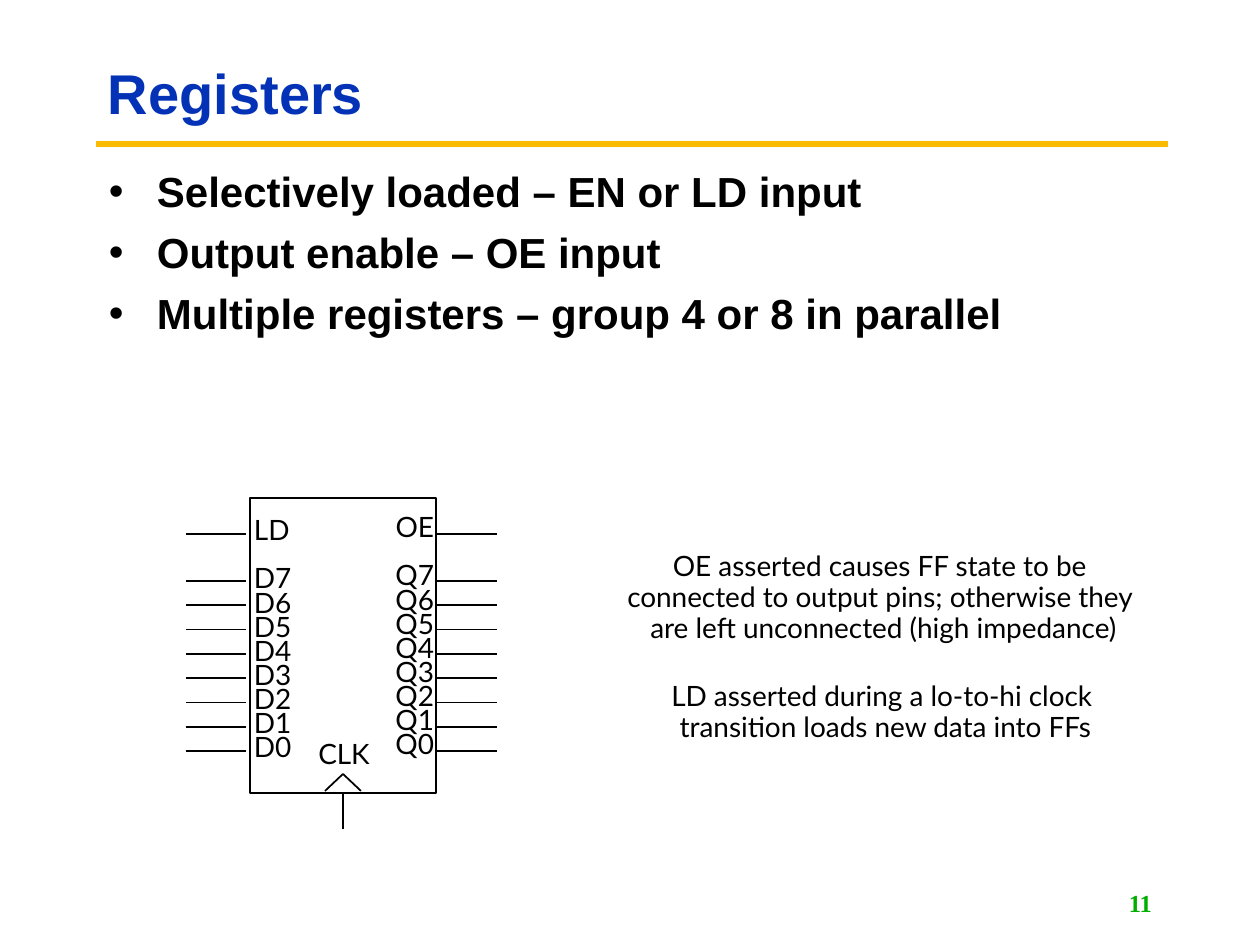
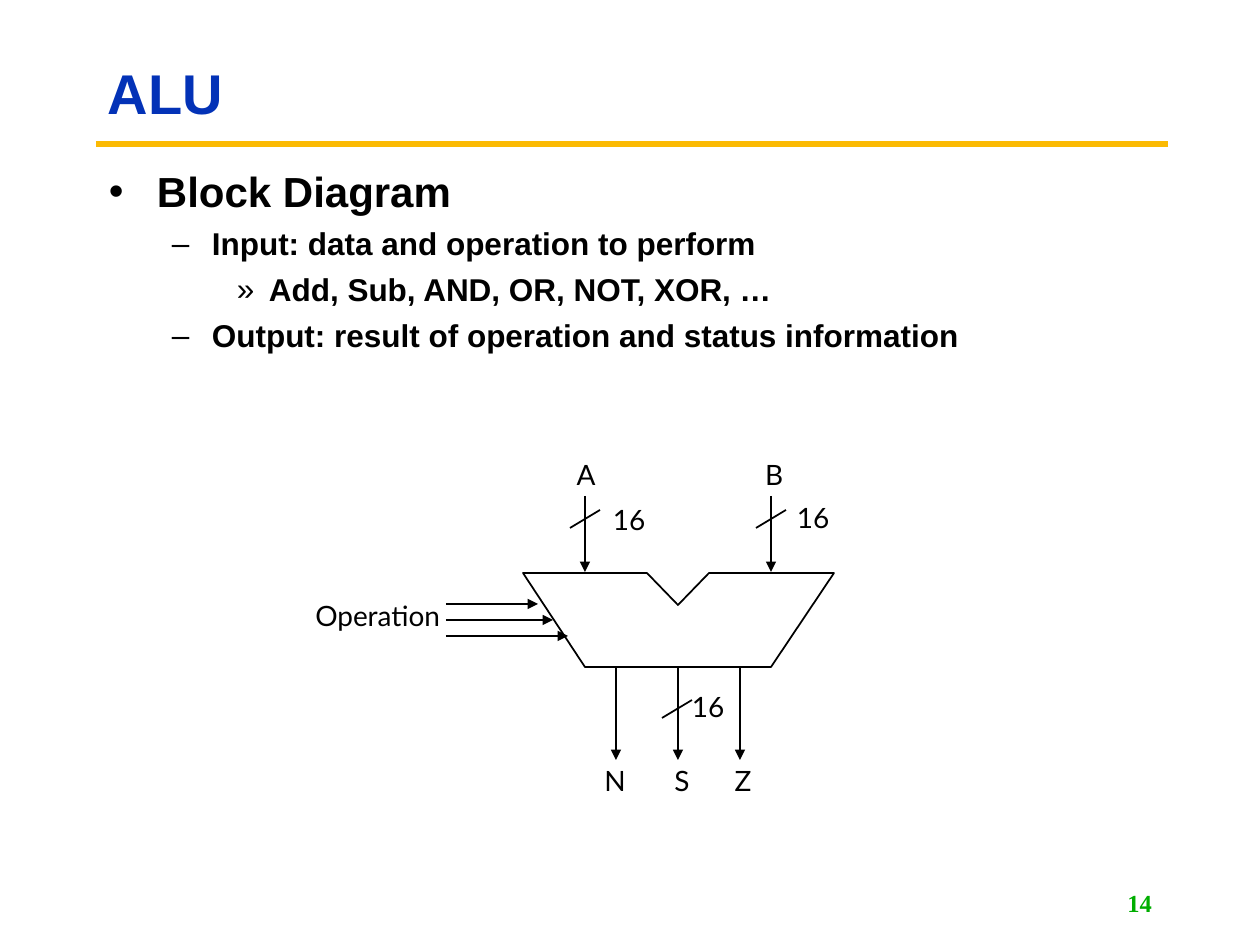
import dataclasses

import pptx
import pptx.dml.color
import pptx.enum.shapes
import pptx.enum.text
import pptx.oxml.ns
import pptx.util
from lxml import etree

PX = 914400 / 126  # EMU in one px
ALIGN = pptx.enum.text.PP_ALIGN
ANCHOR = pptx.enum.text.MSO_ANCHOR
Pt = pptx.util.Pt


@dataclasses.dataclass(frozen=True)
class Theme:
    ink: str = "000000"
    title: str = "0332B7"
    rule: str = "FBBA03"
    number: str = "00AE00"
    heading_font: str = "Arial"
    label_font: str = "Lato"
    number_font: str = "Times New Roman"
    title_size: int = 32
    label_size: int = 16
    number_size: int = 14
    line_width: float = 1
    rule_width: float = 3.75
    label_pitch: float = 17.7
    pin_pitch: float = 13.8


T = Theme()

# Outline levels: size, space before (pt), bullet, left margin and hang (px)
LEVELS = [(24, 9, "•", 48, 48), (18, 6.8, "–", 103, 40), (18, 6.8, "»", 160, 32)]

TITLE = {"size": Pt(T.title_size), "name": T.heading_font, "bold": True}
LABEL = {"size": Pt(T.label_size), "name": T.label_font}
NUMBER = {"size": Pt(T.number_size), "name": T.number_font, "bold": True}


def emu(px):
    return round(px * PX)


def rgb(color):
    return pptx.dml.color.RGBColor.from_string(color)


def apply(obj, values):
    for name, value in values.items():
        setattr(obj, name, value)


def add_sub(parent, tag, **attrs):
    return etree.SubElement(parent, pptx.oxml.ns.qn(tag), attrs)


# Text
def add_frame(slide, box, inset=(3, 4), anchor=ANCHOR.TOP):
    tf = slide.shapes.add_textbox(*map(emu, box)).text_frame
    dx, dy = map(emu, inset)
    apply(tf, {"word_wrap": True, "vertical_anchor": anchor,
               "margin_left": dx, "margin_right": dx,
               "margin_top": dy, "margin_bottom": dy})
    return tf


def write(p, text, font, color=T.ink, **layout):
    p.text = text
    apply(p, layout)
    for r in p.runs:
        apply(r.font, font)
        r.font.color.rgb = rgb(color)


def add_label(slide, text, box, align=ALIGN.LEFT):
    p = add_frame(slide, box).paragraphs[0]
    write(p, text, LABEL, alignment=align, line_spacing=Pt(T.label_pitch))


def add_centred_label(slide, text, x, top):
    add_label(slide, text, (x - 40, top, 80, 48), ALIGN.CENTER)


def add_pin_names(slide, names, box, align):
    """The first name is the control pin, set one row apart from the data pins."""
    tf = add_frame(slide, box)
    for i, name in enumerate(names):
        p = tf.paragraphs[0] if i == 0 else tf.add_paragraph()
        write(p, name, LABEL, alignment=align, line_spacing=Pt(T.pin_pitch),
              space_before=Pt(T.pin_pitch if i == 1 else 0))


def add_outline(slide, items):
    tf = add_frame(slide, (96, 165, 1058, 679), (13, 6))
    for i, (level, text) in enumerate(items):
        size, before, bullet, margin, hang = LEVELS[level]
        p = tf.paragraphs[0] if i == 0 else tf.add_paragraph()
        font = {"size": Pt(size), "name": T.heading_font, "bold": True}
        write(p, text, font, level=level, line_spacing=0.9, space_before=Pt(before))
        pPr = p._p.get_or_add_pPr()
        pPr.set("marL", str(emu(margin)))
        pPr.set("indent", str(-emu(hang)))
        add_sub(add_sub(pPr, "a:buClr"), "a:srgbClr", val=T.ink)
        add_sub(pPr, "a:buFont", typeface=T.heading_font)
        add_sub(pPr, "a:buChar", char=bullet)


# Lines and outlines
def add_line(slide, start, end, arrow=False, color=T.ink, width=T.line_width):
    line = slide.shapes.add_connector(
        pptx.enum.shapes.MSO_CONNECTOR.STRAIGHT, *map(emu, (*start, *end)))
    line.line.color.rgb = rgb(color)
    line.line.width = Pt(width)
    if arrow:
        add_sub(line.line._get_or_add_ln(), "a:tailEnd", type="triangle")
    add_sub(line._element.spPr, "a:effectLst")
    return line


def style_block(sp):
    sp.shadow.inherit = False
    sp.fill.background()
    sp.line.color.rgb = rgb(T.ink)
    sp.line.width = Pt(T.line_width)


def add_bus_mark(slide, x, y, label_at):
    add_line(slide, (x - 15, y + 9), (x + 15, y - 9))
    add_label(slide, "16", (*label_at, 76, 48))


# Slide frame: rule, title, outline and number
def add_slide(prs, title, number, outline):
    slide = prs.slides.add_slide(prs.slide_layouts[6])
    add_line(slide, (96, 144), (1168, 144), color=T.rule, width=T.rule_width)
    tf = add_frame(slide, (95, 45, 1005, 102), (13, 6), ANCHOR.MIDDLE)
    write(tf.paragraphs[0], title, TITLE, T.title, line_spacing=0.9)
    add_outline(slide, outline)
    tf = add_frame(slide, (903, 883, 262, 40), (13, 6), ANCHOR.MIDDLE)
    write(tf.paragraphs[0], number, NUMBER, T.number, alignment=ALIGN.RIGHT)
    return slide


def draw_register(slide):
    left, top, width, height = 250, 498, 186, 295
    right, mid, bottom = left + width, left + width // 2, top + height
    chip = slide.shapes.add_shape(pptx.enum.shapes.MSO_SHAPE.RECTANGLE,
                                  *map(emu, (left, top, width, height)))
    style_block(chip)

    # Pins
    bits = range(7, -1, -1)
    add_pin_names(slide, ["OE"] + [f"Q{b}" for b in bits],
                  (right - 75, 515, 76, 262), ALIGN.RIGHT)
    add_pin_names(slide, ["LD"] + [f"D{b}" for b in bits],
                  (left + 1, 518, 64, 260), ALIGN.LEFT)
    for y in [534] + [581 + i * 170 / 7 for i in range(8)]:
        add_line(slide, (right + 1, y), (right + 61, y))
        add_line(slide, (left - 64, y), (left - 4, y))

    # Clock
    for side in (-18, 18):
        add_line(slide, (mid, 774), (mid + side, bottom - 2))
    add_line(slide, (mid, bottom), (mid, bottom + 36)).begin_connect(chip, 2)
    add_label(slide, "CLK", (291, 742, 106, 42), ALIGN.CENTER)
    p = slide.shapes[-1].text_frame.paragraphs[0]
    p.line_spacing = Pt(T.pin_pitch)


def draw_alu(slide):
    # Block with a notch between its two inputs
    outline = [(523, 573), (647, 573), (678, 605), (709, 573),
               (834, 573), (771, 667), (585, 667)]
    fb = slide.shapes.build_freeform(*outline[0], scale=PX)
    fb.add_line_segments(outline[1:], close=True)
    style_block(fb.convert_to_shape())

    # Inputs
    for name, x, name_x, width_at in (("A", 585, 586, (610, 501)),
                                      ("B", 771, 774, (794, 499))):
        add_line(slide, (x, 496), (x, 572), arrow=True)
        add_bus_mark(slide, x, 519, width_at)
        add_centred_label(slide, name, name_x, 456)

    # Operation select
    for i in range(3):
        y = 604 + 16 * i
        add_line(slide, (446, y), (538 + 15 * i, y), arrow=True)
    add_label(slide, "Operation", (238, 597, 205, 48), ALIGN.RIGHT)

    # Outputs
    for name, x, name_x in (("N", 616, 615), ("S", 678, 682), ("Z", 740, 743)):
        add_line(slide, (x, 668), (x, 760), arrow=True)
        add_centred_label(slide, name, name_x, 762)
    add_bus_mark(slide, 677, 709, (689, 688))


def main():
    prs = pptx.Presentation()
    prs.slide_width, prs.slide_height = emu(1260), emu(945)

    slide = add_slide(prs, "Registers", "11", [
        (0, "Selectively loaded – EN or LD input"),
        (0, "Output enable – OE input"),
        (0, "Multiple registers –\u00a0group 4 or 8 in parallel".replace("\u00a0", " ")),
    ])
    draw_register(slide)
    add_label(slide, "OE asserted causes FF state to be \n"
                     "connected to output pins; otherwise they \n"
                     "are left unconnected (high impedance)",
              (592, 547, 583, 111), ALIGN.CENTER)
    add_label(slide, "LD asserted during a lo-to-hi clock \n"
                     "transition loads new data into FFs",
              (605, 677, 561, 79), ALIGN.CENTER)

    slide = add_slide(prs, "ALU", "14", [
        (0, "Block Diagram"),
        (1, "Input: data and operation to perform"),
        (2, "Add, Sub, AND, OR, NOT, XOR, …"),
        (1, "Output: result of operation and status information"),
    ])
    draw_alu(slide)

    prs.save("out.pptx")


if __name__ == "__main__":
    main()
